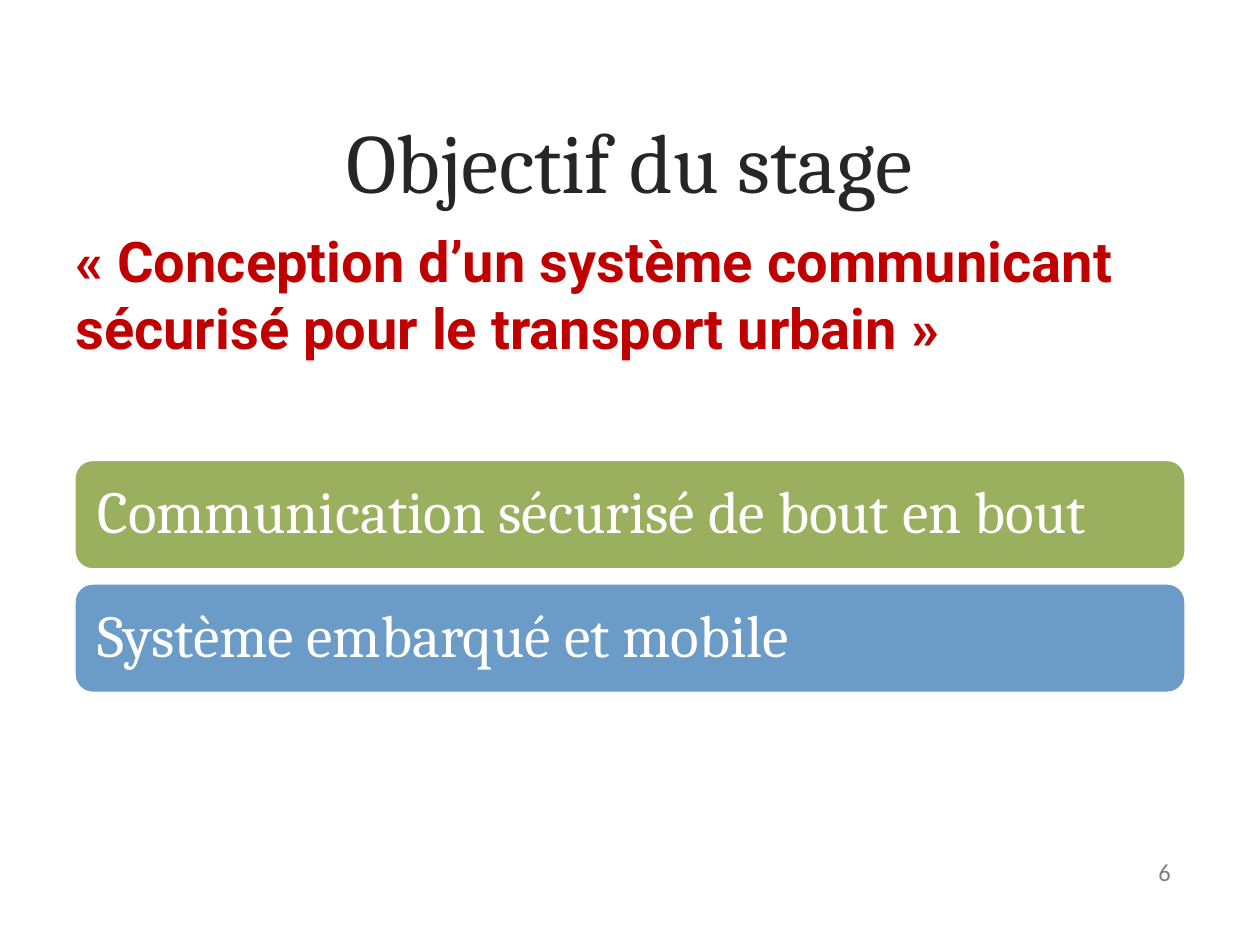
from pptx import Presentation
from pptx import util as u
from pptx.dml import color
from pptx.enum import shapes, text

COLOURS = {
    "title": "262626",
    "quote": "C00000",
    "number": "808080",
    "green": "9BB05E",
    "blue": "6B9BC7",
    "white": "FFFFFF",
}


def rgb(name):
    return color.RGBColor.from_string(COLOURS[name])


def write(shape, wording, colour, font, alignment, anchor, spacing):
    frame = shape.text_frame
    frame.word_wrap = True
    frame.vertical_anchor = anchor
    paragraph = frame.paragraphs[0]
    paragraph.alignment = alignment
    for name, value in spacing.items():
        setattr(paragraph, name, value)
    run = paragraph.add_run()
    run.text = wording
    for name, value in font.items():
        setattr(run.font, name, value)
    run.font.color.rgb = rgb(colour)


presentation = Presentation()
presentation.slide_width = u.Inches(10)
presentation.slide_height = u.Inches(7.5)
slide = presentation.slides.add_slide(presentation.slide_layouts[6])

LEFT, CENTER, RIGHT = text.PP_ALIGN.LEFT, text.PP_ALIGN.CENTER, text.PP_ALIGN.RIGHT
TOP, MIDDLE = text.MSO_ANCHOR.TOP, text.MSO_ANCHOR.MIDDLE

text_boxes = [
    ((0.6, 0.48, 8.79, 1.58), "Objectif du stage", "title",
     {"name": "Cambria", "size": u.Pt(48)}, CENTER, MIDDLE, {}),
    ((0.5, 1.75, 9, 1.37),
     "« Conception d’un système communicant sécurisé pour le transport urbain »", "quote",
     {"name": "Roboto", "size": u.Pt(32), "bold": True}, LEFT, TOP, {"space_before": u.Pt(6.4)}),
    ((7.06, 6.72, 2.33, 0.4), "6", "number",
     {"name": "Calibri", "size": u.Pt(14)}, RIGHT, MIDDLE, {}),
]
for box, *content in text_boxes:
    write(slide.shapes.add_textbox(*map(u.Inches, box)), *content)

objectives = [
    ("Communication sécurisé de bout en bout", "green"),
    ("Système embarqué et mobile", "blue"),
]
objective_font = {"name": "Cambria", "size": u.Pt(34)}
objective_spacing = {"line_spacing": 0.9, "space_after": u.Pt(11.9)}
for index, (wording, fill) in enumerate(objectives):
    bar = slide.shapes.add_shape(
        shapes.MSO_SHAPE.ROUNDED_RECTANGLE,
        u.Inches(0.59), u.Inches(3.65 + 0.98 * index), u.Inches(8.82), u.Inches(0.87),
    )
    bar.shadow.inherit = False
    bar.fill.solid()
    bar.fill.fore_color.rgb = rgb(fill)
    bar.line.color.rgb = rgb("white")
    bar.line.width = u.Pt(1.5)
    for side in ("left", "top", "right", "bottom"):
        setattr(bar.text_frame, f"margin_{side}", u.Inches(0.14))
    write(bar, wording, "white", objective_font, LEFT, MIDDLE, objective_spacing)

presentation.save("out.pptx")
